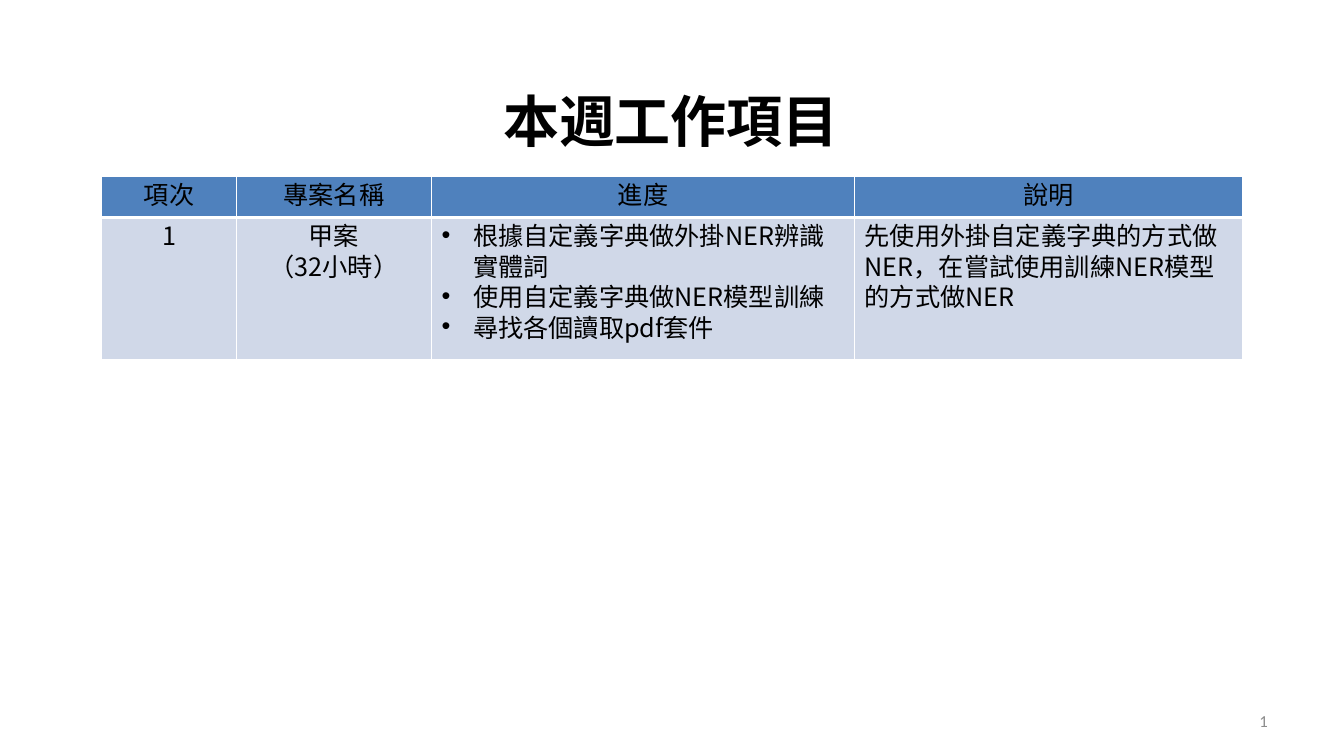
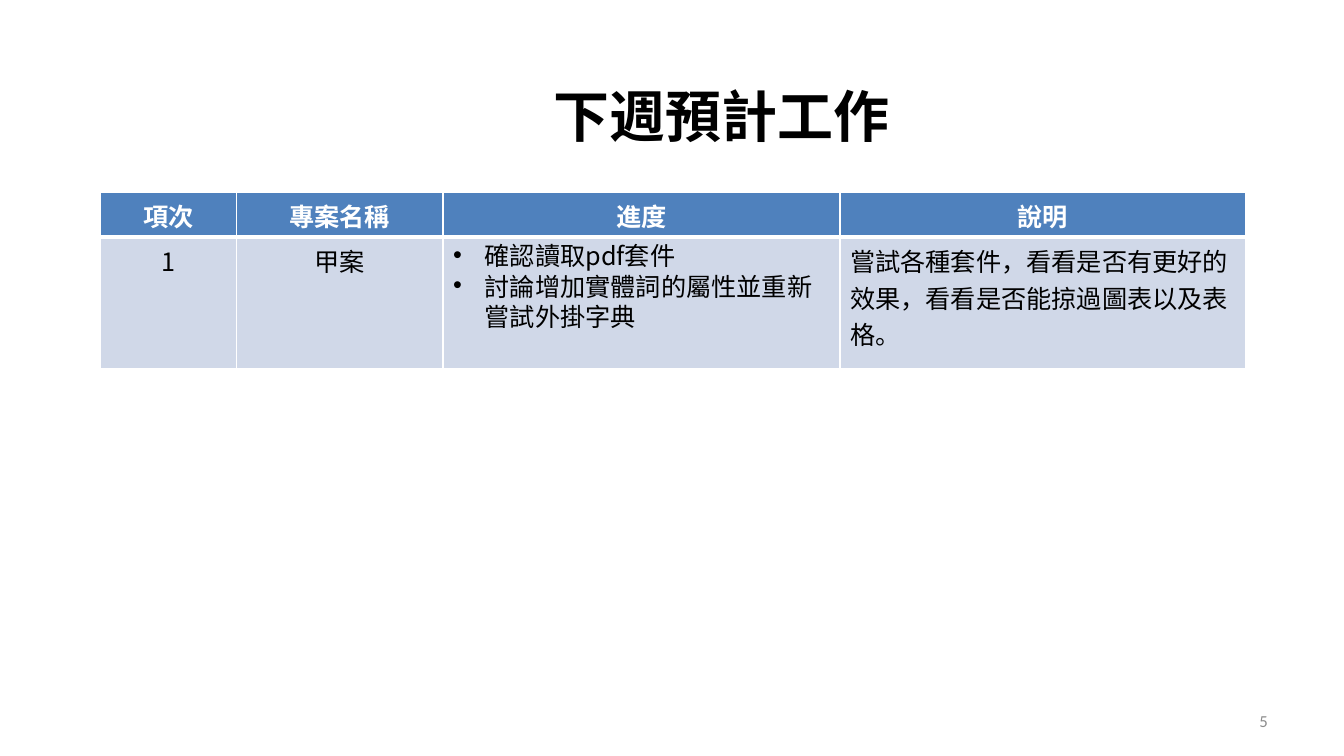
import pptx
import pptx.dml.color
import pptx.enum.text
import pptx.oxml
import pptx.oxml.ns
import pptx.util
from lxml import etree

PX = 9525
BLACK = pptx.dml.color.RGBColor(0x00, 0x00, 0x00)
WHITE = pptx.dml.color.RGBColor(0xFF, 0xFF, 0xFF)
GRAY = pptx.dml.color.RGBColor(0x8C, 0x8C, 0x8C)
HEADER_BLUE = pptx.dml.color.RGBColor(0x4F, 0x81, 0xBD)
ROW_BLUE = pptx.dml.color.RGBColor(0xD0, 0xD8, 0xE8)
TITLE_FONT, TABLE_FONT, NUMBER_FONT = "Noto Sans CJK SC", "Noto Sans CJK TC", "Calibri"
TITLE_ONLY = 5
TIGHT = pptx.util.Pt(21.8)
HEADERS = ["項次", "專案名稱", "進度", "說明"]
BULLET_COLUMN = 2
ALIGN = pptx.enum.text.PP_ALIGN
COLUMN_ALIGN = [ALIGN.CENTER, ALIGN.CENTER, ALIGN.LEFT, ALIGN.LEFT]


def px(*lengths):
    return [pptx.util.Emu(length * PX) for length in lengths]


def style(p, font, size, color, bold=False, align=ALIGN.CENTER):
    p.alignment = align
    for r in p.runs:
        r.font.name, r.font.size = font, pptx.util.Pt(size)
        r.font.bold, r.font.color.rgb = bold, color
        ea = etree.Element(pptx.oxml.ns.qn("a:ea"), typeface=font)
        r.font._rPr.find(pptx.oxml.ns.qn("a:latin")).addnext(ea)


def add_title(s, text, left, top):
    title = s.shapes.title
    title.left, title.top, title.width, title.height = px(left, top, 582, 74)
    tf = title.text_frame
    tf.text = text
    tf.auto_size = pptx.enum.text.MSO_AUTO_SIZE.NONE
    tf.vertical_anchor = pptx.enum.text.MSO_ANCHOR.MIDDLE
    style(tf.paragraphs[0], TITLE_FONT, 40, BLACK, bold=True)


def add_number(s, number):
    tf = s.shapes.add_textbox(*px(918, 667, 299, 38)).text_frame
    tf.word_wrap = True
    tf.vertical_anchor = pptx.enum.text.MSO_ANCHOR.MIDDLE
    tf.text = str(number)
    style(tf.paragraphs[0], NUMBER_FONT, 12, GRAY, align=ALIGN.RIGHT)


def add_bullet(p):
    pPr = p._p.get_or_add_pPr()
    indent = 30 * PX
    pPr.set("marL", str(indent))
    pPr.set("indent", str(-indent))
    for tag, name, value in (("buFont", "typeface", "Arial"), ("buChar", "char", "•")):
        etree.SubElement(pPr, pptx.oxml.ns.qn("a:" + tag)).set(name, value)


def set_borders(cell, **widths):
    """Draw white borders; widths in points are keyed by side: L, R, T, B."""
    tcPr = cell._tc.get_or_add_tcPr()
    for side, width in widths.items():
        tcPr.append(pptx.oxml.parse_xml(
            f'<a:ln{side} {pptx.oxml.ns.nsdecls("a")} w="{pptx.util.Pt(width)}">'
            f'<a:solidFill><a:srgbClr val="{WHITE}"/></a:solidFill></a:ln{side}>'))


def fill_cell(cell, text, fill, color, bold, align, spacing, bullets):
    cell.text = text
    cell.fill.solid()
    cell.fill.fore_color.rgb = fill
    for p in cell.text_frame.paragraphs:
        style(p, TABLE_FONT, 18, color, bold, align)
        if spacing:
            p.line_spacing = spacing
        if bullets:
            add_bullet(p)


def add_work_table(s, left, top, widths, heights, items, thin, thick,
                   header_color, header_bold, spacings):
    """Add a header and one row; spacings holds the line spacing by column."""
    frame = s.shapes.add_table(2, len(widths), *px(left, top, sum(widths), sum(heights)))
    table = frame.table
    for row, height in zip(table.rows, px(*heights)):
        row.height = height
    for i, width in enumerate(px(*widths)):
        table.columns[i].width = width
        header, body = table.cell(0, i), table.cell(1, i)
        set_borders(header, L=thin, R=thin, T=thin, B=thick)
        set_borders(body, L=thin, R=thin, T=thick, B=thin)
        fill_cell(header, HEADERS[i], HEADER_BLUE, header_color, header_bold,
                  ALIGN.CENTER, spacings[0], False)
        fill_cell(body, items[i], ROW_BLUE, BLACK, False,
                  COLUMN_ALIGN[i], spacings[i], i == BULLET_COLUMN)


def add_slide(prs, title, title_at, number):
    s = prs.slides.add_slide(prs.slide_layouts[TITLE_ONLY])
    add_number(s, number)
    add_title(s, title, *title_at)
    return s


def main():
    prs = pptx.Presentation()
    prs.slide_width, prs.slide_height = px(1280, 720)

    s = add_slide(prs, "本週工作項目", (348, 77), 1)
    add_work_table(
        s, 97, 168, [128, 186, 403, 369], [39, 135],
        ["1", "甲案\n（32小時）",
         "根據自定義字典做外掛NER辨識實體詞\n使用自定義字典做NER模型訓練\n尋找各個讀取pdf套件",
         "先使用外掛自定義字典的方式做NER，在嘗試使用訓練NER模型的方式做NER"],
        thin=0.75, thick=2.18, header_color=BLACK, header_bold=False,
        spacings=[TIGHT] * 4)

    s = add_slide(prs, "下週預計工作", (396, 73), 5)
    add_work_table(
        s, 96, 183, [129, 197, 378, 386], [43, 125],
        ["1", "甲案",
         "確認讀取pdf套件\n討論增加實體詞的屬性並重新嘗試外掛字典",
         "嘗試各種套件，看看是否有更好的效果，看看是否能掠過圖表以及表格。"],
        thin=1, thick=3, header_color=WHITE, header_bold=True,
        spacings=[None, None, TIGHT, None])

    prs.save("out.pptx")


if __name__ == "__main__":
    main()
